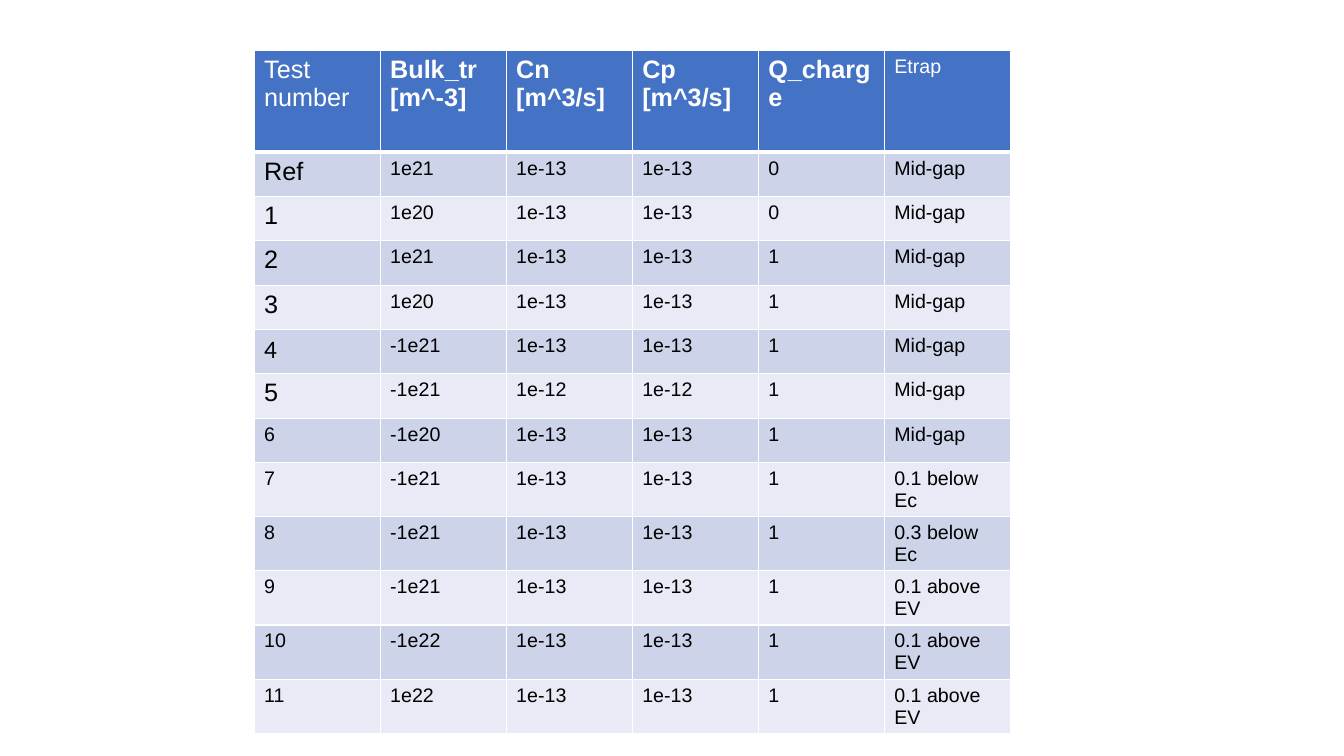
"""Build a slide with a table of trap test settings."""
from lxml.etree import SubElement as Sub
from pptx import Presentation as Deck
from pptx.dml.color import RGBColor as Rgb
from pptx.oxml.ns import qn
from pptx.util import Inches as Inch, Pt

HUES = {"head": "4472C4", "dark": "CDD4EA", "pale": "E8EBF5",
        "white": "FFFFFF", "black": "000000"}
WIDE, HIGH = 13.33, 7.5
COL, TOP, ROW = 1.25, 1.01, 0.44
HEAD = ["Test number", "Bulk_tr\n[m^-3]", "Cn\n[m^3/s]", "Cp\n[m^3/s]",
        "Q_charge", "Etrap"]
MID, ABOVE = "Mid-gap", "0.1 above EV"
TESTS = [
    ("Ref", "1e21", "1e-13", "0", MID),
    ("1", "1e20", "1e-13", "0", MID),
    ("2", "1e21", "1e-13", "1", MID),
    ("3", "1e20", "1e-13", "1", MID),
    ("4", "-1e21", "1e-13", "1", MID),
    ("5", "-1e21", "1e-12", "1", MID),
    ("6", "-1e20", "1e-13", "1", MID),
    ("7", "-1e21", "1e-13", "1", "0.1 below Ec"),
    ("8", "-1e21", "1e-13", "1", "0.3 below Ec"),
    ("9", "-1e21", "1e-13", "1", ABOVE),
    ("10", "-1e22", "1e-13", "1", ABOVE),
    ("11", "1e22", "1e-13", "1", ABOVE),
]


def write(frame, text, size=14, font="Arial", hue="black", bold=False):
    frame.text = text
    for para in frame.paragraphs:
        for run in para.runs:
            run.font.size = Pt(size)
            run.font.name = font
            run.font.bold = bold
            run.font.color.rgb = Rgb.from_string(HUES[hue])


def edge(cell, **widths):
    props = cell._tc.get_or_add_tcPr()
    for spot, side in enumerate("LRTB"):
        line = Sub(props, qn("a:ln" + side), w=str(Pt(widths.get(side, 1))))
        fill = Sub(line, qn("a:solidFill"))
        Sub(fill, qn("a:srgbClr"), val=HUES["white"])
        props.insert(spot, line)


def paint(cell, hue, **widths):
    cell.fill.solid()
    cell.fill.fore_color.rgb = Rgb.from_string(HUES[hue])
    edge(cell, **widths)


def fill_head(grid):
    last = len(HEAD) - 1
    for col, text in enumerate(HEAD):
        cell = grid.cell(0, col)
        write(cell.text_frame, text, size=14 if col == last else 18,
              hue="white", bold=0 < col < last)
        paint(cell, "head", B=3)


def fill_row(grid, row, test):
    name, bulk, rate, charge, trap = test
    for col, text in enumerate((name, bulk, rate, rate, charge, trap)):
        cell = grid.cell(row, col)
        big = col == 0 and row <= 6
        font = "Calibri" if col == 0 and name == "4" else "Arial"
        write(cell.text_frame, text, size=18 if big else 14, font=font)
        paint(cell, "dark" if row % 2 else "pale", T=3 if row == 1 else 1)


def add_grid(slide):
    rows, cols = len(TESTS) + 1, len(HEAD)
    grid = slide.shapes.add_table(
        rows, cols, Inch(2.52), Inch(0.5), Inch(COL * cols),
        Inch(TOP + ROW * len(TESTS))).table
    for col in grid.columns:
        col.width = Inch(COL)
    for row, line in enumerate(grid.rows):
        line.height = Inch(ROW if row else TOP)
    return grid


def main():
    deck = Deck()
    deck.slide_width, deck.slide_height = Inch(WIDE), Inch(HIGH)
    grid = add_grid(deck.slides.add_slide(deck.slide_layouts[6]))
    fill_head(grid)
    for row, test in enumerate(TESTS, 1):
        fill_row(grid, row, test)
    deck.save("out.pptx")


if __name__ == "__main__":
    main()
